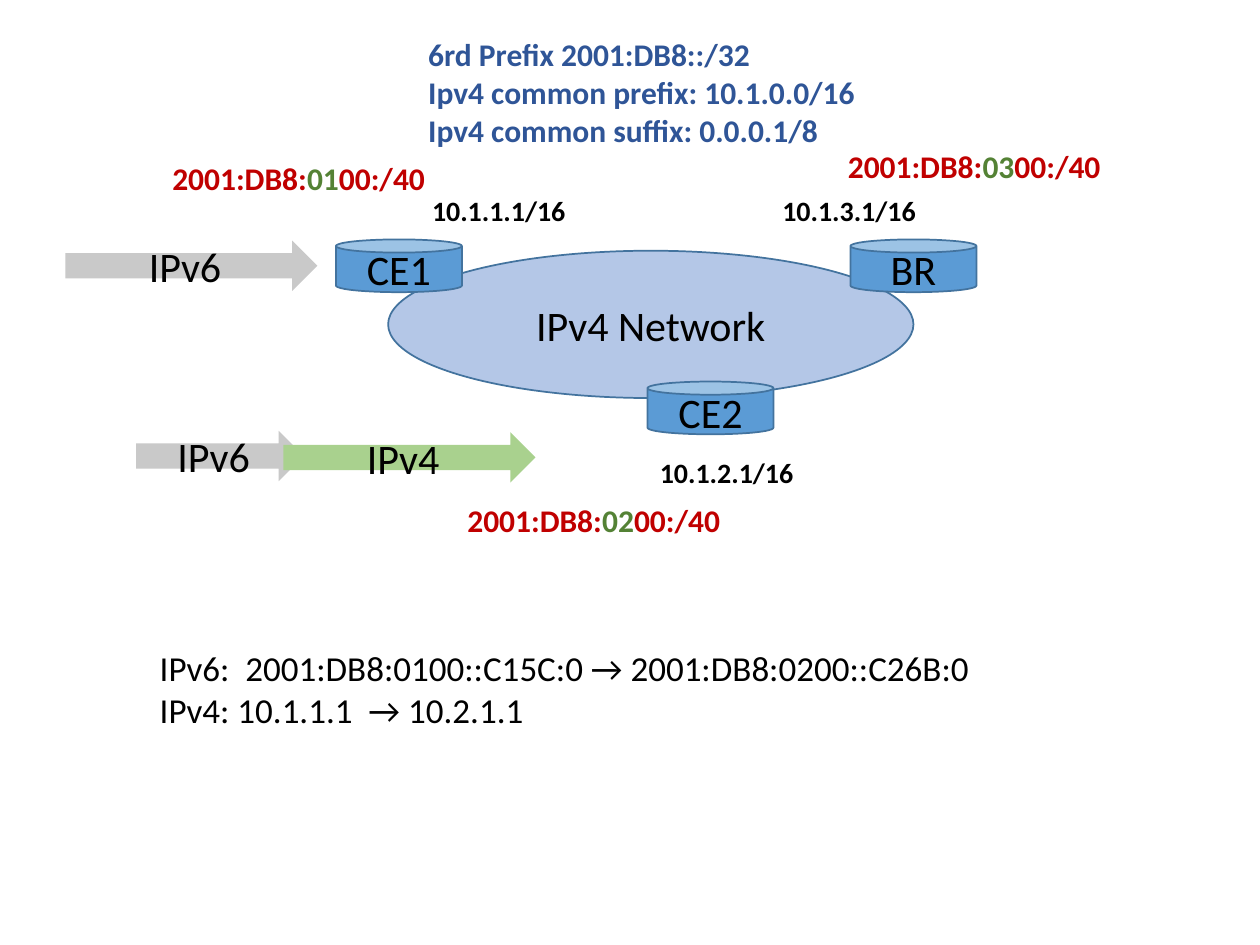
from pptx import Presentation
from pptx.dml.color import RGBColor
from pptx.enum.shapes import MSO_SHAPE
from pptx.enum.text import MSO_ANCHOR, MSO_AUTO_SIZE, PP_ALIGN
from pptx.util import Pt

COLORS = {
    "black": "000000",
    "cloud": "B4C7E7",
    "router": "5B9BD5",
    "outline": "43739E",
    "ipv6": "C9C9C9",
    "ipv4": "A9D18E",
    "domain": "2F5597",
    "prefix": "C00000",
    "embedded": "548235",
}
FONT = "Calibri"


def color(name):
    return RGBColor.from_string(COLORS[name])


def add_span(para, text, size, tone="black", bold=False):
    span = para.add_run()
    span.text = text
    span.font.name = FONT
    span.font.size = Pt(size)
    span.font.bold = bold
    span.font.color.rgb = color(tone)


def add_node(page, kind, bounds, text, fill, outlined=True):
    """Draw a filled shape with a centred label."""
    node = page.shapes.add_shape(kind, *map(Pt, bounds))
    node.shadow.inherit = False
    node.fill.solid()
    node.fill.fore_color.rgb = color(fill)
    if outlined:
        node.line.color.rgb = color("outline")
        node.line.width = Pt(1)
    else:
        node.line.fill.background()
    node.text_frame.vertical_anchor = MSO_ANCHOR.MIDDLE
    para = node.text_frame.paragraphs[0]
    para.alignment = PP_ALIGN.CENTER
    add_span(para, text, 24)


def add_label(page, bounds, lines, size, bold=True, wrap=False):
    """Write lines of text, each a list of (text, colour name) pairs."""
    box = page.shapes.add_textbox(*map(Pt, bounds))
    frame = box.text_frame
    frame.word_wrap = wrap
    frame.auto_size = MSO_AUTO_SIZE.SHAPE_TO_FIT_TEXT
    for index, line in enumerate(lines):
        para = frame.add_paragraph() if index else frame.paragraphs[0]
        for text, tone in line:
            add_span(para, text, size, tone, bold)


def main():
    deck = Presentation()
    deck.slide_width, deck.slide_height = Pt(720), Pt(540)
    page = deck.slides.add_slide(deck.slide_layouts[6])

    # Network and its edge routers
    add_node(page, MSO_SHAPE.OVAL, (221.8, 143.3, 300.2, 84.2), "IPv4 Network", "cloud")
    for name, left, top in (("CE1", 192, 136.8), ("CE2", 370, 218), ("BR", 486, 136.8)):
        add_node(page, MSO_SHAPE.CAN, (left, top, 72, 30.2), name, "router")

    # Router addresses
    for address, left, top in (
        ("10.1.1.1/16", 239.8, 107.3),
        ("10.1.2.1/16", 370, 257),
        ("10.1.3.1/16", 440, 107.3),
    ):
        add_label(page, (left, top, 91.4, 26.6), [[(address, "black")]], 16)

    # Settings shared by the domain
    settings = (
        "6rd Prefix 2001:DB8::/32",
        "Ipv4 common prefix: 10.1.0.0/16",
        "Ipv4 common suffix: 0.0.0.1/8",
    )
    add_label(page, (237.6, 16.6, 260.6, 72.7), [[(text, "domain")] for text in settings], 18)

    # Delegated prefixes, with the embedded IPv4 bits picked out
    for bits, left, top in (("01", 91.4, 87.1), ("02", 260, 283), ("03", 477.4, 80.6)):
        line = [("2001:DB8:", "prefix"), (bits, "embedded"), ("00:/40", "prefix")]
        add_label(page, (left, top, 160.6, 28.8), [line], 18)

    # Packet addresses
    packets = (
        "IPv6:  2001:DB8:0100::C15C:0 → 2001:DB8:0200::C26B:0",
        "IPv4: 10.1.1.1  → 10.2.1.1",
    )
    add_label(page, (84.2, 365.8, 581.8, 79.9), [[(text, "black")] for text in packets],
              20, bold=False, wrap=True)

    # Packet arrows: plain IPv6, then IPv6 carried in IPv4
    for text, fill, left, top, width in (
        ("IPv6", "ipv6", 37.4, 137.5, 144),
        ("IPv6", "ipv6", 77.8, 246.2, 95.8),
        ("IPv4", "ipv4", 162, 247, 144),
    ):
        add_node(page, MSO_SHAPE.RIGHT_ARROW, (left, top, width, 28.8), text, fill, outlined=False)

    deck.save("out.pptx")


if __name__ == "__main__":
    main()
